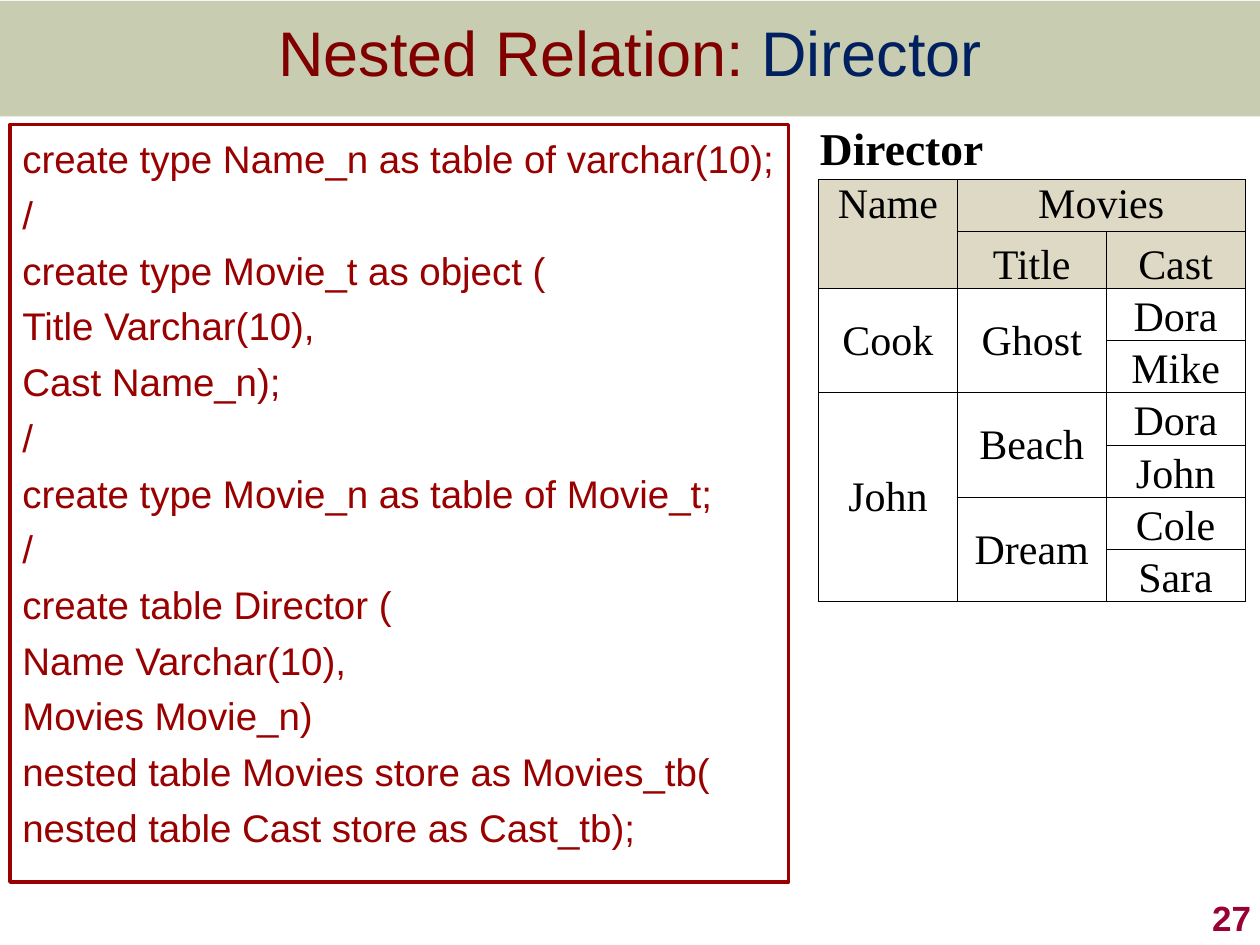
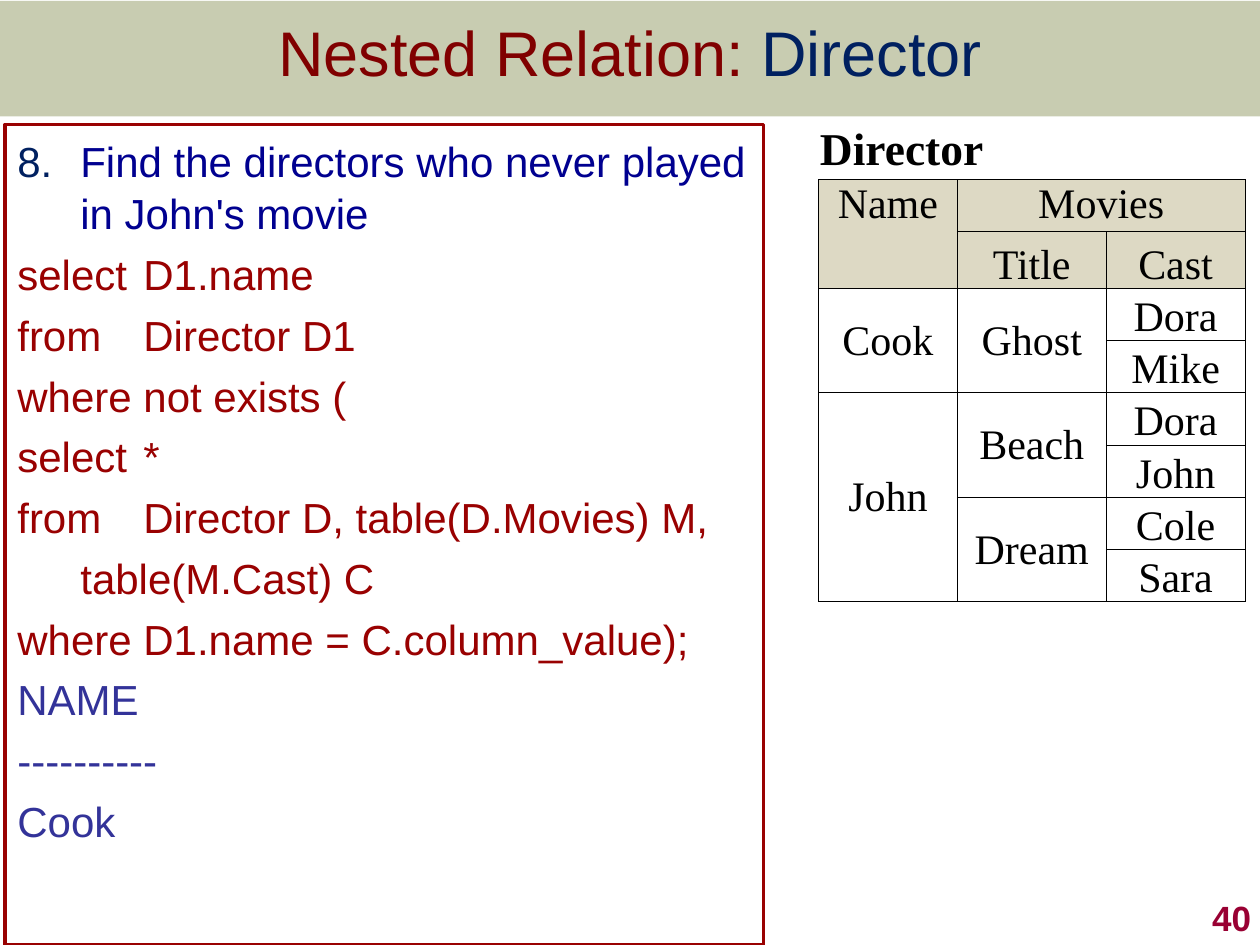
from lxml import etree
from pptx import Presentation
from pptx.dml.color import RGBColor
from pptx.enum.shapes import MSO_SHAPE
from pptx.enum.text import MSO_ANCHOR, MSO_AUTO_SIZE, PP_ALIGN
from pptx.oxml.ns import qn
from pptx.util import Cm, Pt

RECTANGLE = MSO_SHAPE.RECTANGLE
TOP, MIDDLE, BOTTOM = MSO_ANCHOR.TOP, MSO_ANCHOR.MIDDLE, MSO_ANCHOR.BOTTOM
LEFT, CENTER, RIGHT = PP_ALIGN.LEFT, PP_ALIGN.CENTER, PP_ALIGN.RIGHT
NO_AUTOFIT = MSO_AUTO_SIZE.NONE

COLORS = {
    "band": "677228", "title": "800000", "navy": "002060", "number": "990033",
    "code": "990101", "question": "000090", "result": "333399",
    "header": "DDD9C4", "white": "FFFFFF", "black": "000000",
}
SANS, SERIF = "Arial", "Times New Roman"

COLUMN_WIDTHS = (2.8, 3.0, 2.8)
ROW_HEIGHTS = (1.13, 1.05, 1.15) + (1.05,) * 6
DIRECTOR_CELLS = (
    (1, 0, 2, 1, "Name", TOP), (1, 1, 1, 2, "Movies", TOP),
    (2, 1, 1, 1, "Title", BOTTOM), (2, 2, 1, 1, "Cast", BOTTOM),
    (3, 0, 2, 1, "Cook", MIDDLE), (5, 0, 4, 1, "John", MIDDLE),
    (3, 1, 2, 1, "Ghost", MIDDLE), (5, 1, 2, 1, "Beach", MIDDLE),
    (7, 1, 2, 1, "Dream", MIDDLE),
) + tuple(
    (row, 2, 1, 1, name, BOTTOM)
    for row, name in enumerate(("Dora", "Mike", "Dora", "John", "Cole", "Sara"), 3)
)

TYPE_DEFINITIONS = (
    "create type Name_n as table of varchar(10);", "/",
    "create type Movie_t as object (", "Title Varchar(10),", "Cast Name_n);", "/",
    "create type Movie_n as table of Movie_t;", "/",
    "create table Director (", "Name Varchar(10),", "Movies Movie_n)",
    "nested table Movies store as Movies_tb(",
    "nested table Cast store as Cast_tb);",
)
QUESTION = "Find the directors who never played in John's movie"
QUERY = (
    "select\tD1.name", "from\tDirector D1", "where not exists (", "select\t*",
    "from\tDirector D, table(D.Movies) M,", "\ttable(M.Cast) C",
    "where\tD1.name = C.column_value);",
)
RESULT = ("NAME", "----------", "Cook")


class NestedRelationDeck:
    """Holds the lecture style and the slide being built."""

    def __init__(self):
        self.presentation = Presentation()
        self.presentation.slide_width = Cm(25.4)
        self.presentation.slide_height = Cm(19.05)
        self.slide = None

    def color(self, name):
        return RGBColor.from_string(COLORS[name])

    def place(self, shape, left, top, width, height):
        shape.left, shape.top = Cm(left), Cm(top)
        shape.width, shape.height = Cm(width), Cm(height)

    def add_run(self, paragraph, text, size, color, font=SANS, bold=False):
        run = paragraph.add_run()
        run.text = text
        run.font.size, run.font.name, run.font.bold = Pt(size), font, bold
        run.font.color.rgb = self.color(color)

    def add_slide(self, number):
        self.slide = self.presentation.slides.add_slide(self.presentation.slide_layouts[1])
        self.add_title()
        self.add_band()
        self.add_number(number)

    def add_title(self):
        title = self.slide.shapes.title
        self.place(title, 0, 0, 25.4, 2.08)
        frame = title.text_frame
        frame.auto_size, frame.vertical_anchor = NO_AUTOFIT, MIDDLE
        paragraph = frame.paragraphs[0]
        paragraph.alignment = CENTER
        self.add_run(paragraph, "Nested Relation: ", 36, "title")
        self.add_run(paragraph, "Director", 36, "navy")

    def add_band(self):
        band = self.slide.shapes.add_shape(RECTANGLE, 0, Cm(0.02), Cm(25.4), Cm(2.33))
        band.shadow.inherit = False
        band.line.fill.background()
        band.fill.solid()
        band.fill.fore_color.rgb = self.color("band")
        fill_color = band.element.spPr.find(qn("a:solidFill"))[0]
        etree.SubElement(fill_color, qn("a:alpha"), val="36000")
        self.slide.shapes.title.element.addprevious(band.element)

    def add_number(self, number):
        box = self.slide.shapes.add_textbox(Cm(20.19), Cm(17.78), Cm(5.28), Cm(1.27))
        frame = box.text_frame
        frame.word_wrap, frame.vertical_anchor = True, BOTTOM
        paragraph = frame.paragraphs[0]
        paragraph.alignment = RIGHT
        self.add_run(paragraph, str(number), 20, "number", bold=True)

    def add_code_box(self, left, width, height, size, lines, first_number=None):
        body = self.slide.placeholders[1]
        self.place(body, left, 2.51, width, height)
        body.line.color.rgb = self.color("code")
        body.line.width = Pt(2)
        frame = body.text_frame
        frame.word_wrap, frame.auto_size, frame.vertical_anchor = True, NO_AUTOFIT, TOP
        frame.margin_left, frame.margin_right = Cm(0.25), 0
        frame.margin_top, frame.margin_bottom = Cm(0.18), Cm(0.13)
        for index, (text, color) in enumerate(lines):
            paragraph = frame.add_paragraph() if index else frame.paragraphs[0]
            paragraph.alignment = LEFT
            paragraph.line_spacing = 1.04
            paragraph.space_before = Pt(0.2 * size if index else 0)
            self.set_indent(paragraph, None if index else first_number)
            self.add_run(paragraph, text, size, color)

    def set_indent(self, paragraph, number):
        properties = paragraph._p.get_or_add_pPr()
        indent = Cm(1.27) if number else 0
        properties.set("marL", str(indent))
        properties.set("indent", str(-indent))
        if number:
            bullet_color = etree.SubElement(properties, qn("a:buClr"))
            etree.SubElement(bullet_color, qn("a:srgbClr"), val=COLORS["navy"])
            etree.SubElement(properties, qn("a:buFont"), typeface=SANS)
            etree.SubElement(properties, qn("a:buAutoNum"), type="arabicPeriod", startAt=str(number))
        else:
            etree.SubElement(properties, qn("a:buNone"))
            tabs = etree.SubElement(properties, qn("a:tabLst"))
            etree.SubElement(tabs, qn("a:tab"), pos=str(Cm(2.54)), algn="l")

    def add_director_table(self):
        frame = self.slide.shapes.add_table(
            len(ROW_HEIGHTS), len(COLUMN_WIDTHS), Cm(16.5), Cm(2.49),
            Cm(sum(COLUMN_WIDTHS)), Cm(sum(ROW_HEIGHTS)))
        table = frame.table
        table.first_row = table.horz_banding = False
        for column, width in zip(table.columns, COLUMN_WIDTHS):
            column.width = Cm(width)
        for index, (row, height) in enumerate(zip(table.rows, ROW_HEIGHTS)):
            row.height = Cm(height)
            for cell in row.cells:
                self.style_cell(cell, "B" if index == 0 else "LRTB",
                                "header" if index in (1, 2) else "white")
        self.fill_cell(table, 0, 0, 1, 3, "Director", TOP, 26, LEFT, True)
        for entry in DIRECTOR_CELLS:
            self.fill_cell(table, *entry)

    def style_cell(self, cell, sides, fill):
        properties = cell._tc.get_or_add_tcPr()
        for side in "LRTB":
            border = etree.SubElement(properties, qn("a:ln" + side), w=str(Pt(0.5)))
            if side in sides:
                line_fill = etree.SubElement(border, qn("a:solidFill"))
                etree.SubElement(line_fill, qn("a:srgbClr"), val=COLORS["black"])
            else:
                etree.SubElement(border, qn("a:noFill"))
        cell.fill.solid()
        cell.fill.fore_color.rgb = self.color(fill)
        cell.margin_left = cell.margin_right = cell.margin_top = Cm(0.03)
        cell.margin_bottom = 0

    def fill_cell(self, table, row, column, row_span, column_span, text, anchor,
                  size=24, alignment=CENTER, bold=False):
        cell = table.cell(row, column)
        if row_span * column_span > 1:
            cell.merge(table.cell(row + row_span - 1, column + column_span - 1))
        cell.vertical_anchor = anchor
        paragraph = cell.text_frame.paragraphs[0]
        paragraph.alignment = alignment
        self.add_run(paragraph, text, size, "black", SERIF, bold)


def main():
    deck = NestedRelationDeck()

    deck.add_slide(27)
    deck.add_code_box(0.2, 15.7, 15.27, 22, [(line, "code") for line in TYPE_DEFINITIONS])
    deck.add_director_table()

    deck.add_slide(40)
    lines = [(QUESTION, "question")]
    lines += [(line, "code") for line in QUERY]
    lines += [(line, "result") for line in RESULT]
    deck.add_code_box(0.1, 15.29, 16.54, 24, lines, first_number=8)
    deck.add_director_table()

    deck.presentation.save("out.pptx")


if __name__ == "__main__":
    main()
